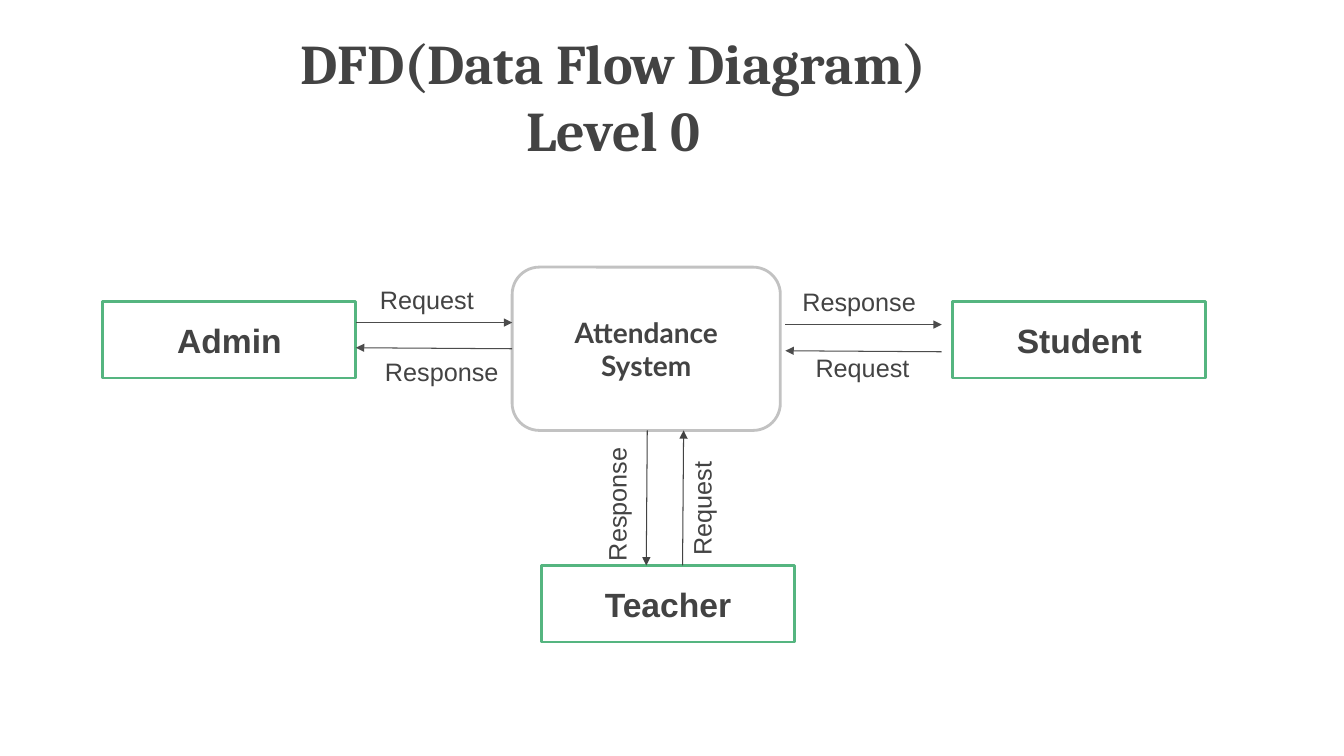
from lxml.etree import SubElement
from pptx import Presentation
from pptx.dml.color import RGBColor
from pptx.enum.shapes import MSO_CONNECTOR, MSO_SHAPE
from pptx.enum.text import MSO_ANCHOR, PP_ALIGN
from pptx.oxml.ns import qn
from pptx.util import Inches, Pt

INK = RGBColor(0x43, 0x43, 0x43)
ARROW = RGBColor(0x4C, 0x4C, 0x4C)
GREEN = RGBColor(0x55, 0xB5, 0x80)
GREY = RGBColor(0xC2, 0xC2, 0xC2)

HEADING = "DFD(Data Flow Diagram)\nLevel 0"
SYSTEM = "Attendance System"
ENTITIES = {"Admin": (1.02, 2.99), "Student": (9.45, 2.99), "Teacher": (5.37, 5.61)}

ENTITY_W, ENTITY_H = 2.51, 0.76
SYSTEM_X, SYSTEM_Y, SYSTEM_W, SYSTEM_H = 5.08, 2.65, 2.66, 1.62
LABEL_WIDTH = {"Request": 1.22, "Response": 1.37}
LABEL_H = 0.4

ADMIN_EDGE = ENTITIES["Admin"][0] + ENTITY_W
SYSTEM_BASE = SYSTEM_Y + SYSTEM_H
TEACHER_TOP = ENTITIES["Teacher"][1]
STUDENT_FROM, STUDENT_TO = 7.79, 9.34

FLOWS = [
    ("Request", (3.67, 2.77), 0, (ADMIN_EDGE, 3.2), (SYSTEM_X, 3.2), ARROW),
    ("Response", (3.72, 3.49), 0, (SYSTEM_X, 3.46), (ADMIN_EDGE, 3.45), ARROW),
    ("Response", (7.86, 2.79), 0, (STUDENT_FROM, 3.22), (STUDENT_TO, 3.22), ARROW),
    ("Request", (7.99, 3.45), 0, (STUDENT_TO, 3.49), (STUDENT_FROM, 3.48), ARROW),
    ("Response", (5.43, 4.78), 270, (6.42, SYSTEM_BASE), (6.41, TEACHER_TOP), INK),
    ("Request", (6.35, 4.8), 270, (6.77, TEACHER_TOP), (6.78, SYSTEM_BASE), INK),
]


def write(shape, text, *, size, font="Arial", bold=False, align=PP_ALIGN.CENTER,
          anchor=MSO_ANCHOR.MIDDLE, inset=None):
    frame = shape.text_frame
    frame.word_wrap = True
    frame.vertical_anchor = anchor
    if inset is not None:
        frame.margin_left = frame.margin_right = Inches(inset)
        frame.margin_top = frame.margin_bottom = Inches(inset)
    paragraph = frame.paragraphs[0]
    paragraph.text = text
    paragraph.alignment = align
    for run in paragraph.runs:
        run.font.name = font
        run.font.size = Pt(size)
        run.font.bold = bold
        run.font.color.rgb = INK


def add_box(slide, kind, x, y, width, height, outline):
    box = slide.shapes.add_shape(kind, Inches(x), Inches(y), Inches(width), Inches(height))
    box.shadow.inherit = False
    box.fill.background()
    box.line.color.rgb = outline
    box.line.width = Pt(2)
    return box


def add_arrow(slide, start, end, color):
    arrow = slide.shapes.add_connector(
        MSO_CONNECTOR.STRAIGHT, *(Inches(value) for value in start + end))
    arrow.line.color.rgb = color
    arrow.line.width = Pt(0.75)
    SubElement(arrow.line._get_or_add_ln(), qn("a:tailEnd"), type="triangle")
    SubElement(arrow._element.spPr, qn("a:effectLst"))


def main():
    deck = Presentation()
    deck.slide_width, deck.slide_height = Inches(13.33), Inches(7.5)
    slide = deck.slides.add_slide(deck.slide_layouts[5])

    heading = slide.shapes.title
    heading.left, heading.top = Inches(0.64), Inches(0.18)
    heading.width, heading.height = Inches(10.89), Inches(1.76)
    write(heading, HEADING, size=40, font="Cambria", bold=True,
          anchor=MSO_ANCHOR.TOP, inset=0.1)

    system = add_box(slide, MSO_SHAPE.ROUNDED_RECTANGLE,
                     SYSTEM_X, SYSTEM_Y, SYSTEM_W, SYSTEM_H, GREY)
    write(system, SYSTEM, size=20, font="Lato", bold=True, inset=0.1)

    for name, (x, y) in ENTITIES.items():
        entity = add_box(slide, MSO_SHAPE.RECTANGLE, x, y, ENTITY_W, ENTITY_H, GREEN)
        write(entity, name, size=24, bold=True)

    for message, (x, y), turn, start, end, color in FLOWS:
        add_arrow(slide, start, end, color)
        label = slide.shapes.add_textbox(
            Inches(x), Inches(y), Inches(LABEL_WIDTH[message]), Inches(LABEL_H))
        label.rotation = turn
        write(label, message, size=18, align=PP_ALIGN.LEFT, anchor=MSO_ANCHOR.TOP)

    deck.save("out.pptx")


if __name__ == "__main__":
    main()
